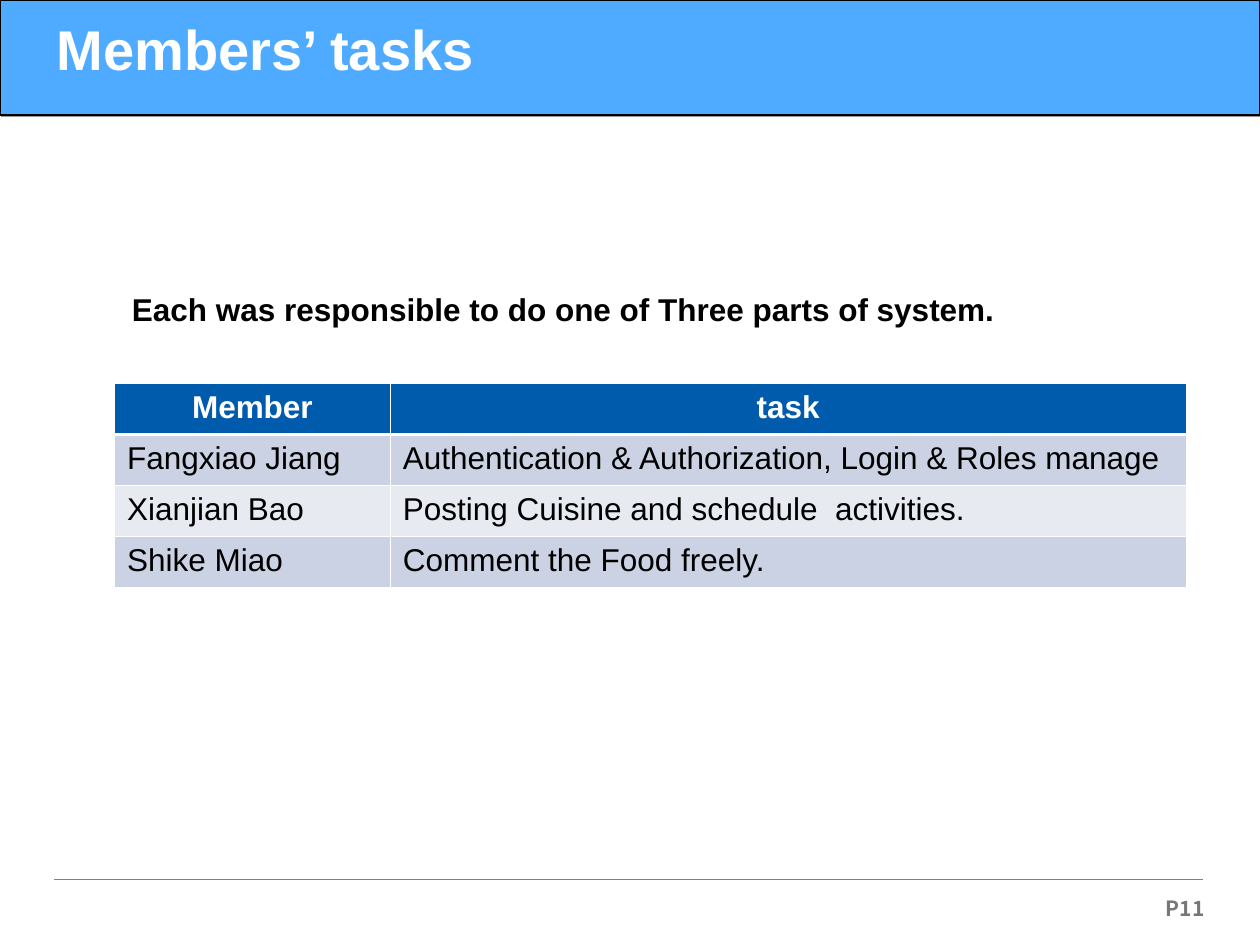
from lxml.etree import SubElement
from pptx import Presentation
from pptx.dml.color import RGBColor
from pptx.enum.shapes import MSO_CONNECTOR, MSO_SHAPE
from pptx.enum.text import MSO_ANCHOR, PP_ALIGN
from pptx.oxml import parse_xml
from pptx.oxml.ns import nsdecls, qn
from pptx.util import Cm, Pt

HUES = {
    "bar": "4FABFF", "edge": "000000", "shade": "969696", "rule": "808080",
    "page": "777777", "head": "005BAC", "odd": "CBD2E3", "even": "E7EAF1",
    "white": "FFFFFF", "text": "000000",
}
TASKS = [
    ("Member", "task"),
    ("Fangxiao Jiang", "Authentication & Authorization, Login & Roles manage"),
    ("Xianjian Bao", "Posting Cuisine and schedule  activities."),
    ("Shike Miao", "Comment the Food freely."),
]


def color(name):
    return RGBColor.from_string(HUES[name])


def style(frame, text, size, hue, bold=True, face="Arial", align=PP_ALIGN.LEFT):
    para = frame.paragraphs[0]
    para.text = text
    para.alignment = align
    font = para.font
    font.name, font.size, font.bold = face, Pt(size), bold
    font.color.rgb = color(hue)


def label(slide, box, text, size, hue, anchor=MSO_ANCHOR.TOP, **more):
    frame = slide.shapes.add_textbox(*map(Cm, box)).text_frame
    frame.word_wrap = True
    frame.vertical_anchor = anchor
    style(frame, text, size, hue, **more)


def header(slide, left, top, width, height):
    # Blue bar with a hard shadow
    bar = slide.shapes.add_shape(
        MSO_SHAPE.RECTANGLE, Cm(left), Cm(top), Cm(width), Cm(height))
    bar.fill.solid()
    bar.fill.fore_color.rgb = color("bar")
    bar.line.color.rgb = color("edge")
    bar.line.width = Pt(0.75)
    bar.shadow.inherit = False
    effect = bar.element.spPr.find(qn("a:effectLst"))
    shade = SubElement(effect, qn("a:outerShdw"), dist=str(Pt(1.4)),
                       dir="2700000", algn="ctr", rotWithShape="0")
    SubElement(shade, qn("a:srgbClr"), val=HUES["shade"])
    # Title
    label(slide, (left + 0.89, top + 0.13, 19.6, 1.68), "Members’ tasks",
          32, "white", anchor=MSO_ANCHOR.MIDDLE)


def footer(slide, left, top, width):
    # Rule
    rule = slide.shapes.add_connector(
        MSO_CONNECTOR.STRAIGHT, Cm(left), Cm(top), Cm(left + width), Cm(top))
    rule.line.color.rgb = color("rule")
    rule.line.width = Pt(0.75)
    SubElement(rule.element.spPr, qn("a:effectLst"))
    # Page number
    label(slide, (left + width - 1.17, top + 0.2, 1.6, 0.76), "P11", 12, "page",
          face="Noto Sans CJK SC", align=PP_ALIGN.CENTER)


def border(cell, thick):
    props = cell._tc.get_or_add_tcPr()
    for spot, side in enumerate("LRTB"):
        width = Pt(thick.get(side, 0.45))
        props.insert(spot, parse_xml(
            f'<a:ln{side} {nsdecls("a")} w="{width}"><a:solidFill>'
            f'<a:srgbClr val="{HUES["white"]}"/></a:solidFill></a:ln{side}>'))


def roster(slide, left, top, width, height):
    grid = slide.shapes.add_table(
        len(TASKS), 2, Cm(left), Cm(top), Cm(width), Cm(height)).table
    first = 5.56
    grid.columns[0].width = Cm(first)
    grid.columns[1].width = Cm(width - first)
    for row, words in enumerate(TASKS):
        head = row == 0
        fill = "head" if head else "odd" if row % 2 else "even"
        # Heavier line between the heading and the body
        thick = {0: {"B": 1.47}, 1: {"T": 1.47}}.get(row, {})
        for col, text in enumerate(words):
            cell = grid.cell(row, col)
            cell.fill.solid()
            cell.fill.fore_color.rgb = color(fill)
            border(cell, thick)
            style(cell.text_frame, text, 18, "white" if head else "text", bold=head,
                  align=PP_ALIGN.CENTER if head else PP_ALIGN.LEFT)


def main():
    deck = Presentation()
    deck.slide_width, deck.slide_height = Cm(25.4), Cm(19.05)
    slide = deck.slides.add_slide(deck.slide_layouts[6])
    header(slide, 0, 0, 25.4, 2.32)
    footer(slide, 1.09, 17.73, 23.17)
    roster(slide, 2.31, 7.73, 21.6, 4.12)
    label(slide, (2.41, 5.72, 21.4, 1.02),
          "Each was responsible to do one of Three parts of system.", 18, "text")
    deck.save("out.pptx")


if __name__ == "__main__":
    main()
